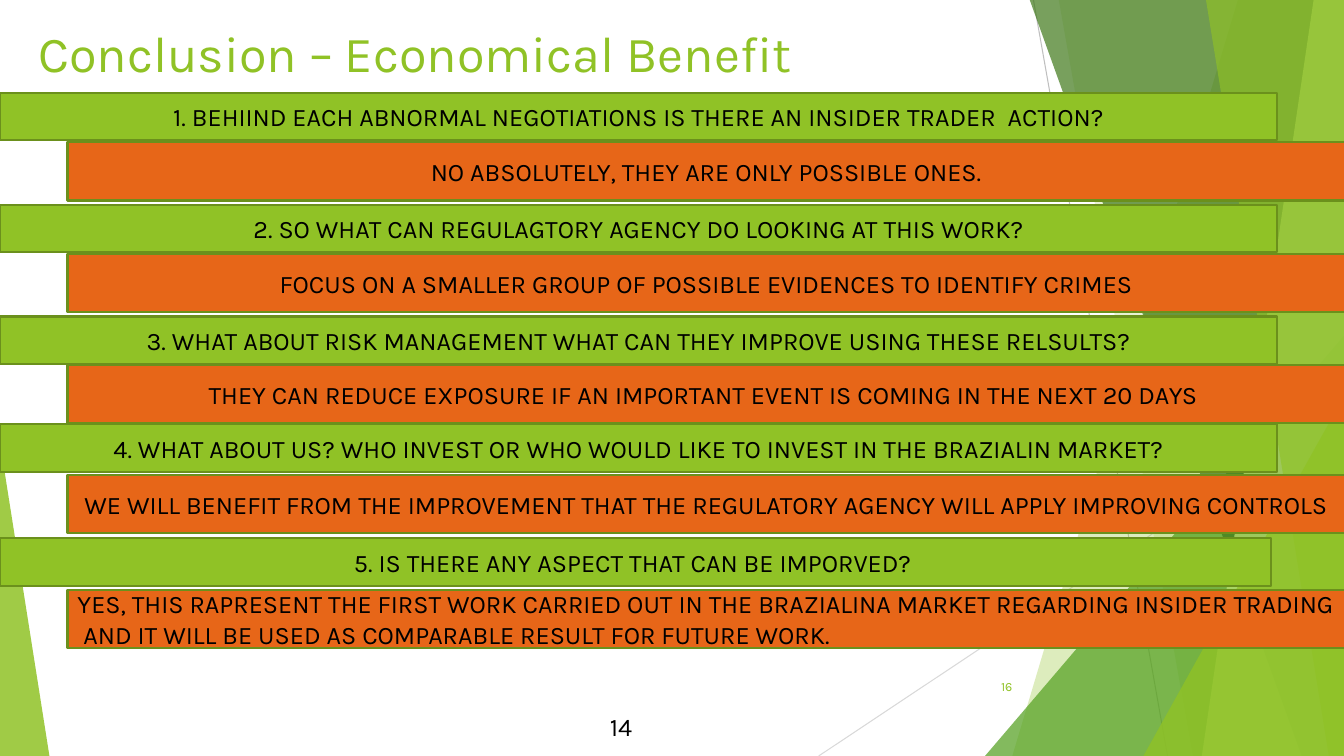
from pptx import Presentation
from pptx.dml.color import RGBColor
from pptx.enum.shapes import MSO_CONNECTOR, MSO_SHAPE
from pptx.enum.text import MSO_ANCHOR, MSO_AUTO_SIZE, PP_ALIGN
from pptx.oxml.ns import qn
from pptx.util import Pt
from lxml import etree

RECT, TRIANGLE = MSO_SHAPE.RECTANGLE, MSO_SHAPE.ISOSCELES_TRIANGLE
STRAIGHT = MSO_CONNECTOR.STRAIGHT
LEFT, CENTER, RIGHT = PP_ALIGN.LEFT, PP_ALIGN.CENTER, PP_ALIGN.RIGHT
TOP, MIDDLE = MSO_ANCHOR.TOP, MSO_ANCHOR.MIDDLE

PX = 9144
WIDTH, HEIGHT = 1333, 750
FONT = "Karla"
COLORS = {
    "green": "90C226", "mid": "54A021", "dark": "3F7819", "pale": "C0E474",
    "orange": "E76618", "border": "6B901C", "text": "000000",
    "gray": "BFBFBF", "light": "D9D9D9",
}

TITLE = "Conclusion – Economical Benefit"
QUESTIONS = [
    (92, 1267, "1. BEHIIND EACH ABNORMAL NEGOTIATIONS IS THERE AN INSIDER TRADER  ACTION?"),
    (203, 1267, "2. SO WHAT CAN REGULAGTORY AGENCY DO LOOKING AT THIS WORK?"),
    (314, 1267, "3. WHAT ABOUT RISK MANAGEMENT WHAT CAN THEY IMPROVE USING THESE RELSULTS?"),
    (421, 1267, "4. WHAT ABOUT US? WHO INVEST OR WHO WOULD LIKE TO INVEST IN THE BRAZIALIN MARKET?"),
    (534, 1261, "5. IS THERE ANY ASPECT THAT CAN BE IMPORVED? "),
]
ANSWERS = [
    (141, CENTER, "NO ABSOLUTELY, THEY ARE ONLY POSSIBLE ONES."),
    (252, CENTER, "FOCUS ON A SMALLER GROUP OF POSSIBLE EVIDENCES TO IDENTIFY CRIMES"),
    (362, CENTER, "THEY CAN REDUCE EXPOSURE IF AN IMPORTANT EVENT IS COMING IN THE NEXT 20 DAYS "),
    (471, CENTER, "WE WILL BENEFIT FROM THE IMPROVEMENT THAT THE REGULATORY AGENCY WILL APPLY IMPROVING CONTROLS"),
    (585, LEFT, "YES, THIS RAPRESENT THE FIRST WORK CARRIED OUT IN THE BRAZIALINA MARKET REGARDING "
                "INSIDER TRADING  AND IT WILL BE USED AS COMPARABLE RESULT FOR FUTURE WORK."),
]
NUMBERS = [
    ("16", 939, 661, 9, "green", RIGHT, MIDDLE),
    ("14", 595, 701, 18, "text", LEFT, TOP),
]
RAYS = [((1025, 0), (1158, 750), "gray"), ((1333, 403), (812, 750), "light")]
FACETS = [
    ("band", 1228, 1004, "green", 30),
    ("band", 1050, 1183, "green", 20),
    ("triangle", (977, 333, 356, 417), 1, "mid", 72),
    ("band", 1021, 1291, "dark", 70),
    ("band", 1303, 1192, "pale", 70),
    ("band", 1196, 1318, "green", 65),
    ("triangle", (1134, 393, 199, 357), 1, "green", 80),
    ("triangle", (0, 439, 49, 311), 0, "green", 85),
]


def rgb(name):
    return RGBColor.from_string(COLORS[name])


def px(*lengths):
    return [n * PX for n in lengths]


def paint(sp, color, alpha=100):
    sp.shadow.inherit = False
    sp.fill.solid()
    sp.fill.fore_color.rgb = rgb(color)
    if alpha < 100:
        clr = sp.fill._xPr.find(qn("a:solidFill"))[0]
        etree.SubElement(clr, qn("a:alpha")).set("val", str(alpha * 1000))
    sp.line.fill.background()


def write(sp, text, size, color, align, anchor):
    tf = sp.text_frame
    tf.word_wrap = True
    tf.auto_size = MSO_AUTO_SIZE.NONE
    tf.vertical_anchor = anchor
    p = tf.paragraphs[0]
    p.alignment = align
    r = p.add_run()
    r.text = text
    r.font.name = FONT
    r.font.size = Pt(size)
    r.font.color.rgb = rgb(color)


def add_ray(shapes, start, end, color):
    line = shapes.add_connector(STRAIGHT, *px(*start, *end))
    line.line.color.rgb = rgb(color)
    line.line.width = Pt(0.75)
    etree.SubElement(line._element.spPr, qn("a:effectLst"))


def add_facet(shapes, kind, place, slant, color, alpha):
    if kind == "band":
        outline = shapes.build_freeform(place, -1, scale=PX)
        outline.add_line_segments([(WIDTH, -1), (WIDTH, HEIGHT), (slant, HEIGHT)], close=True)
        sp = outline.convert_to_shape()
    else:
        sp = shapes.add_shape(TRIANGLE, *px(*place))
        sp.adjustments[0] = slant
    paint(sp, color, alpha)


def add_bar(shapes, box, color, text, align):
    sp = shapes.add_shape(RECT, *px(*box))
    paint(sp, color)
    sp.line.color.rgb = rgb("border")
    sp.line.width = Pt(1.5)
    write(sp, text, 18, "text", align, MIDDLE)


def main():
    prs = Presentation()
    prs.slide_width, prs.slide_height = px(WIDTH, HEIGHT)
    slide = prs.slides.add_slide(prs.slide_layouts[5])
    shapes = slide.shapes

    for ray in RAYS:
        add_ray(shapes, *ray)
    for facet in FACETS:
        add_facet(shapes, *facet)

    title = shapes.title
    title.left, title.top, title.width, title.height = px(28, 17, 940, 144)
    write(title, TITLE, 36, "green", LEFT, TOP)

    for top, width, text in QUESTIONS:
        add_bar(shapes, (0, top, width, 47), "green", text, CENTER)
    for top, align, text in ANSWERS:
        add_bar(shapes, (67, top, 1267, 58), "orange", text, align)
    for text, left, top, size, color, align, anchor in NUMBERS:
        box = shapes.add_textbox(*px(left, top, 75, 40))
        write(box, text, size, color, align, anchor)

    prs.save("out.pptx")


if __name__ == "__main__":
    main()
